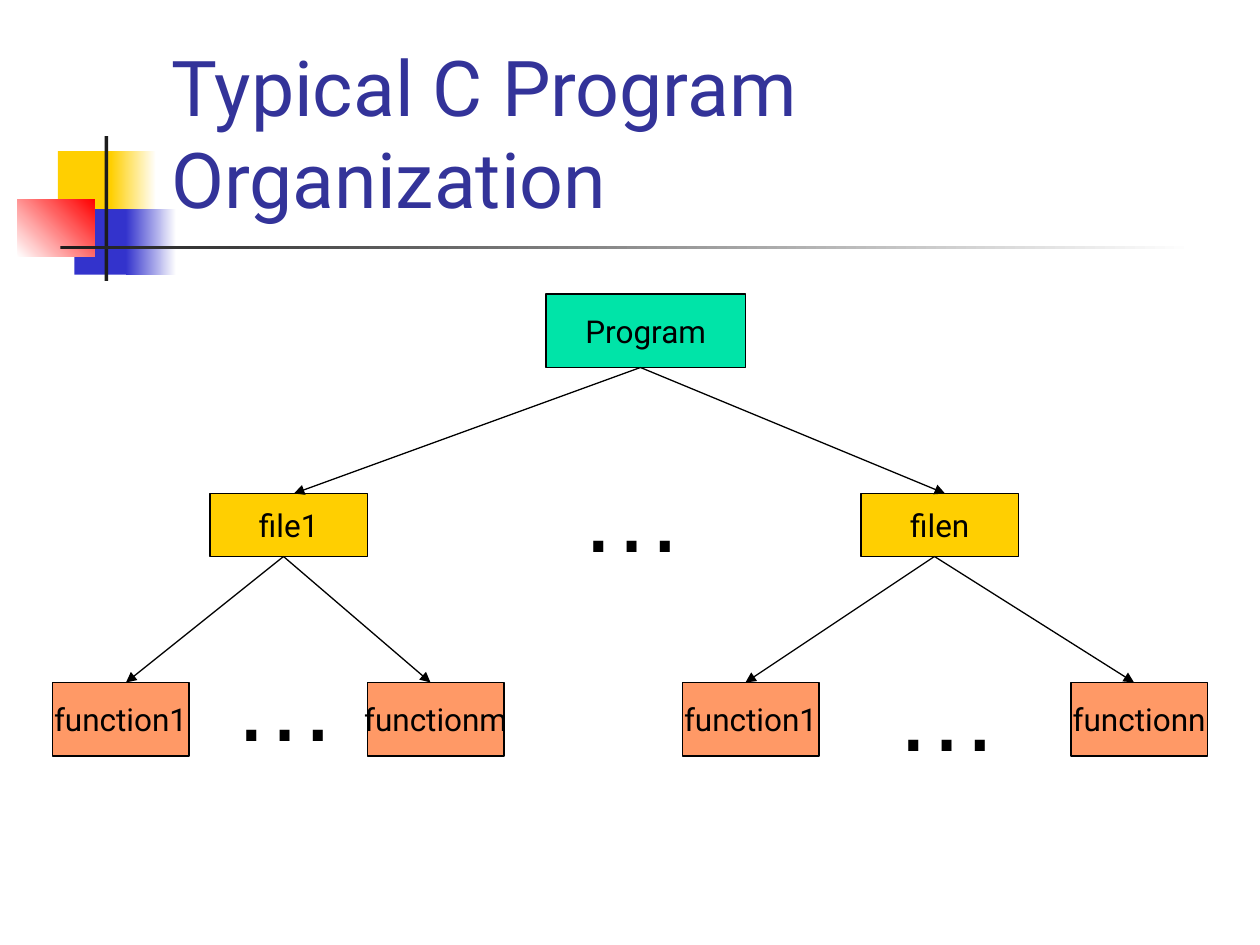
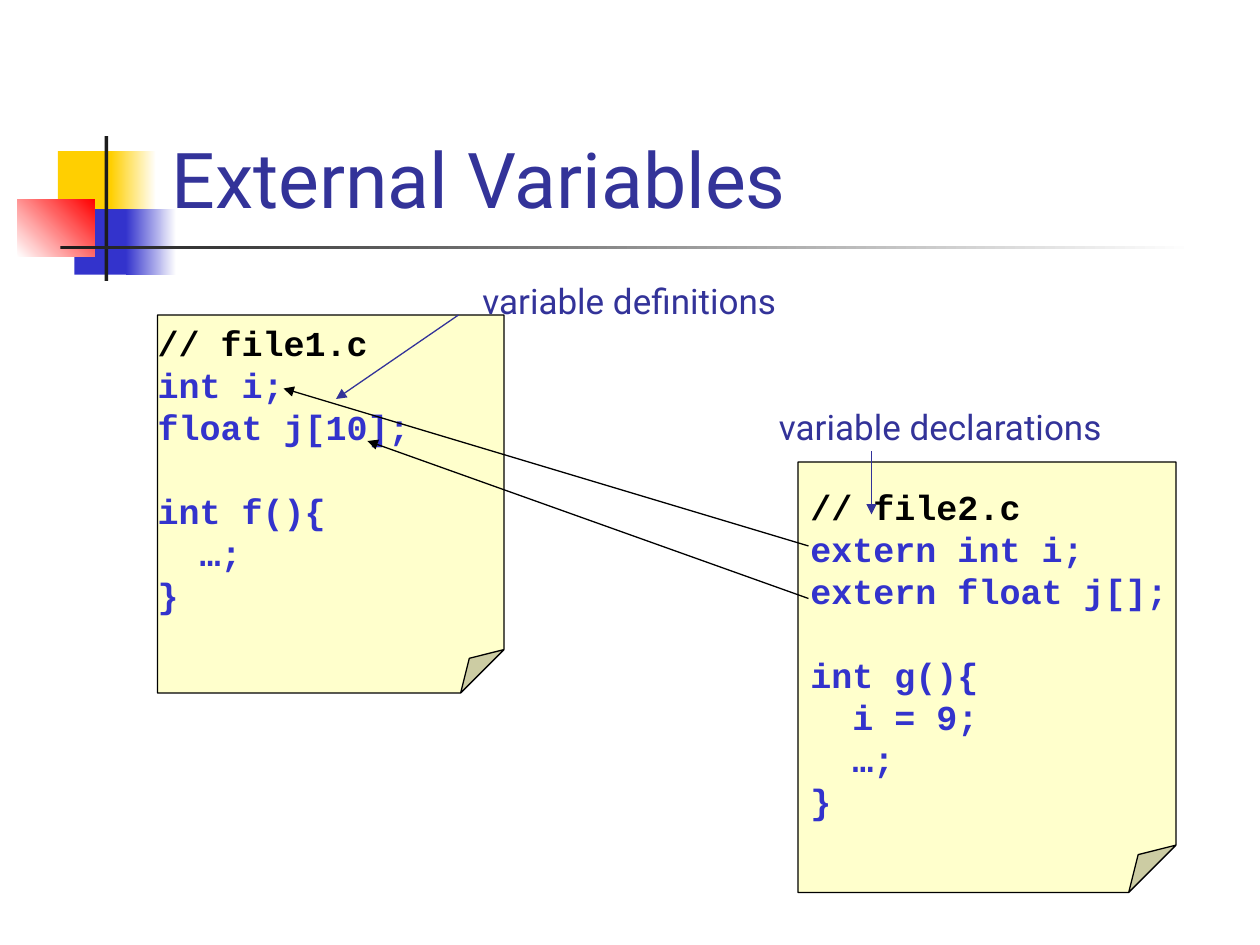
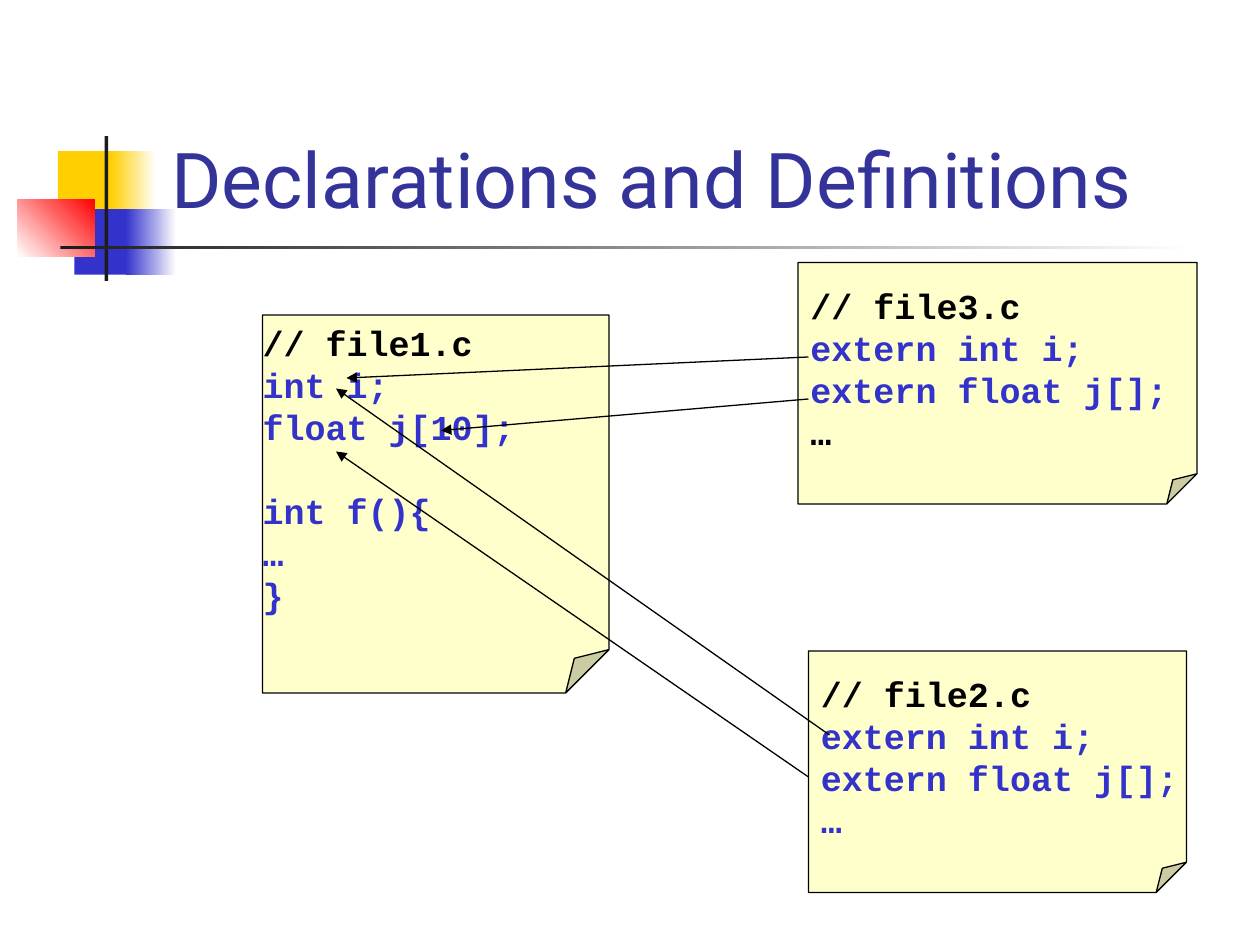
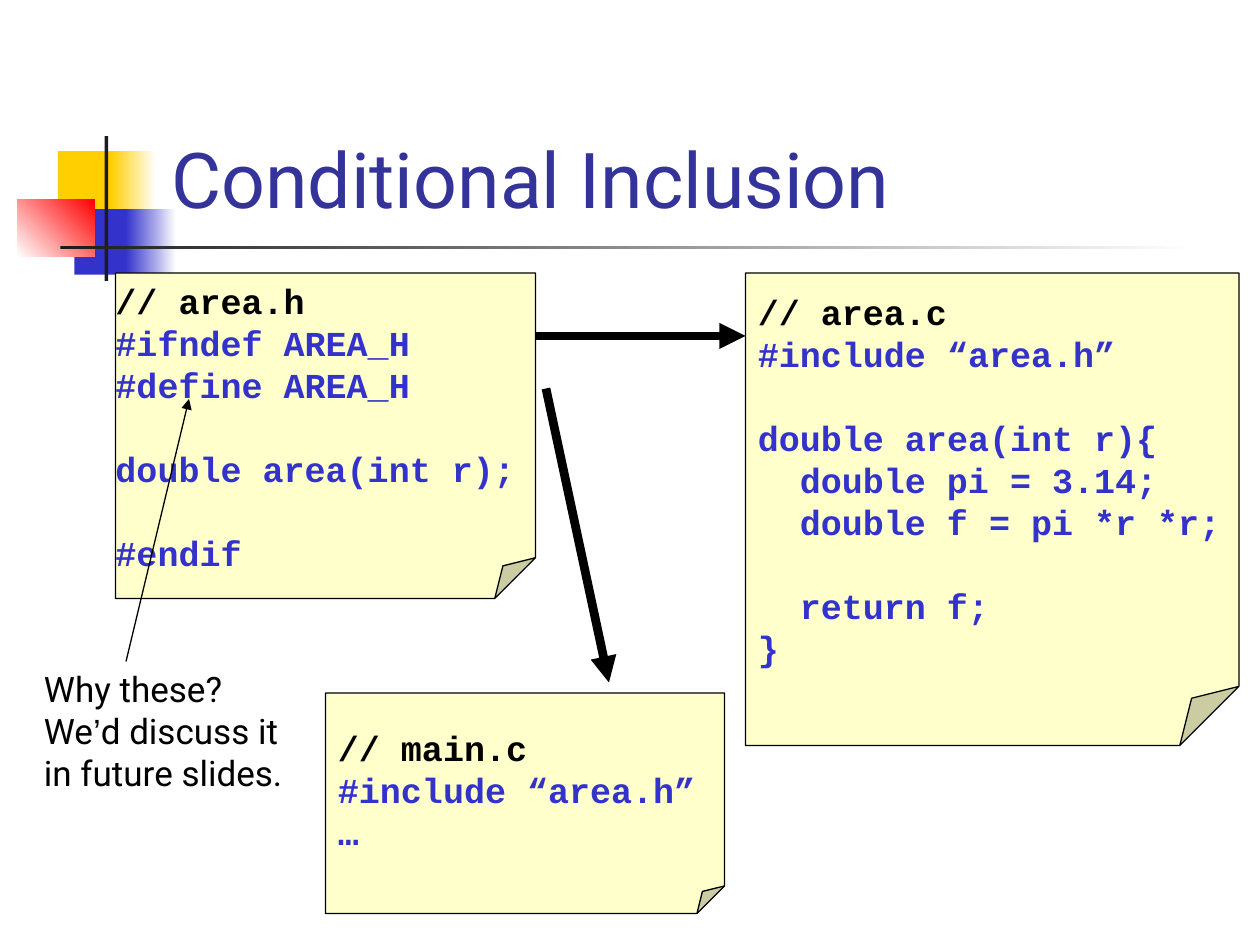
from lxml import etree
from pptx import Presentation
from pptx.dml.color import RGBColor
from pptx.enum import shapes, text
from pptx.oxml.ns import qn
from pptx.util import Pt

COLORS = {
    "black": "000000", "white": "FFFFFF", "ink": "1C1C1C", "title": "333399",
    "blue": "3333CC", "yellow": "FFCF01", "red": "FF0000", "green": "00E4A8",
    "orange": "FF9966", "paper": "FFFFCC",
}
RGB = {name: RGBColor.from_string(value) for name, value in COLORS.items()}
TITLES = ["Typical C Program Organization", "External Variables",
          "Declarations and Definitions", "Conditional Inclusion"]


def write(frame, lines, font="Roboto", size=20, color="black", first_color=None,
          bold=False, align="LEFT", anchor="TOP", wrap=True, left_inset=7.2):
    frame.word_wrap = wrap
    frame.auto_size = text.MSO_AUTO_SIZE.NONE
    frame.vertical_anchor = text.MSO_ANCHOR[anchor]
    frame.margin_left = Pt(left_inset)
    line_height = Pt(size * 1.2)
    paragraph, gap = None, 0
    for line in lines:
        if not line:
            gap += line_height
            continue
        paint = color if paragraph is not None else first_color or color
        paragraph = frame.paragraphs[0] if paragraph is None else frame.add_paragraph()
        paragraph.alignment = text.PP_ALIGN[align]
        paragraph.line_spacing = line_height
        paragraph.space_before = Pt(gap / Pt(1))
        gap = 0
        code = line.lstrip()
        indent = len(line) - len(code)
        if indent:
            properties = paragraph._p.get_or_add_pPr()
            properties.set("marL", str(Pt(indent * size * 0.6)))
            properties.set("indent", "0")
        for index, piece in enumerate(code.partition("’")):
            if piece:
                run = paragraph.add_run()
                run.text = piece
                run.font.name = "Arial" if index == 1 else font
                run.font.size = Pt(size)
                run.font.bold = bold
                run.font.color.rgb = RGB[paint]


def arrow(parent, start, end, color="black", width=0.75):
    line = parent.add_connector(shapes.MSO_CONNECTOR.STRAIGHT, *map(Pt, start + end))
    line.line.color.rgb = RGB[color]
    line.line.width = Pt(width)
    etree.SubElement(line.line._get_or_add_ln(), qn("a:tailEnd"), type="triangle")
    etree.SubElement(line._element.spPr, qn("a:effectLst"))


deck = Presentation()
deck.slide_width, deck.slide_height = Pt(720), Pt(540)
title_only = deck.slide_layouts[5]
slides = [deck.slides.add_slide(title_only) for _ in TITLES]

ornaments = [
    ((33.12, 86.4, 34.56, 37.44), "yellow", None, 0),
    ((63.36, 86.4, 25.92, 37.44), "yellow", "white", 0),
    ((42.48, 119.52, 33.12, 37.44), "blue", None, 0),
    ((72, 119.52, 28.8, 37.44), "blue", "white", 0),
    ((10.08, 113.76, 43.92, 33.12), "white", "red", 45),
    ((59.76, 77.76, 2.16, 82.8), "ink", None, 0),
    ((34.56, 140.4, 648, 2.16), "ink", "white", 0),
]
for position, (bounds, start, end, angle) in enumerate(ornaments, 2):
    ornament = slides[0].shapes.add_shape(shapes.MSO_SHAPE.RECTANGLE, *map(Pt, bounds))
    ornament.shadow.inherit = False
    ornament.line.fill.background()
    if end:
        ornament.fill.gradient()
        ornament.fill.gradient_angle = angle
        for stop, color in zip(ornament.fill.gradient_stops, (start, end)):
            stop.color.rgb = RGB[color]
    else:
        ornament.fill.solid()
        ornament.fill.fore_color.rgb = RGB[start]
    title_only.shapes.element.insert(position, ornament._element)

for slide, heading in zip(slides, TITLES):
    title = slide.shapes.title
    title.left, title.top, title.width, title.height = map(Pt, (90.72, 16.56, 613.44, 115.2))
    write(title.text_frame, [heading], size=44, color="title", anchor="BOTTOM")

organization = slides[0].shapes
levels = [
    (168, 114, 42, "green", [("Program", 312)]),
    (282, 90, 36, "yellow", [("file1", 120), ("filen", 492)]),
    (390, 78, 42, "orange", [("function1", 30), ("functionm", 210),
                             ("function1", 390), ("functionn", 612)]),
]
for top, width, height, color, members in levels:
    for name, left in members:
        box = organization.add_shape(shapes.MSO_SHAPE.RECTANGLE,
                                     *map(Pt, (left, top, width, height)))
        box.shadow.inherit = False
        box.fill.solid()
        box.fill.fore_color.rgb = RGB[color]
        box.line.color.rgb = RGB["black"]
        box.line.width = Pt(0.75)
        write(box.text_frame, [name], size=18, align="CENTER", anchor="MIDDLE", wrap=False)
for left, top in [(504, 366), (126, 360), (324, 252)]:
    ellipsis = organization.add_textbox(*map(Pt, (left, top, 102, 79)))
    write(ellipsis.text_frame, ["…"], font="Arial", size=60)
for parent, children in [((366, 210), [(168, 282), (540, 282)]),
                         ((162, 318), [(72, 390), (246, 390)]),
                         ((534, 318), [(426, 390), (648, 390)])]:
    for child in children:
        arrow(organization, parent, child)

externs = ["extern int i;", "extern float j[];"]
definitions = ["// file1.c", "int i;", "float j[10];", "", "int f(){"]
listings = [
    (1, (90, 180, 198, 216), "TOP", definitions + ["  …;", "}"]),
    (1, (456, 264, 216, 246), "MIDDLE",
     ["// file2.c", *externs, "", "int g(){", "  i = 9;", "  …;", "}"]),
    (2, (150, 180, 198, 216), "TOP", definitions + ["…", "}"]),
    (2, (462, 372, 216, 138), "MIDDLE", ["// file2.c", *externs, "…"]),
    (2, (456, 150, 228, 138), "MIDDLE", ["// file3.c", *externs, "…"]),
    (3, (66, 156, 240, 186), "TOP",
     ["// area.h", "#ifndef AREA_H", "#define AREA_H", "",
      "double area(int r);", "", "#endif"]),
    (3, (186, 396, 228, 126), "MIDDLE", ["// main.c", "#include “area.h”", "…"]),
    (3, (426, 156, 282, 270), "MIDDLE",
     ["// area.c", "#include “area.h”", "", "double area(int r){",
      "  double pi = 3.14;", "  double f = pi *r *r;", "", "  return f;", "}"]),
]
for number, bounds, anchor, code in listings:
    page = slides[number].shapes.add_shape(shapes.MSO_SHAPE.FOLDED_CORNER, *map(Pt, bounds))
    fold = page._element.spPr.find(qn("a:prstGeom")).get_or_add_avLst()
    for guide in list(fold):
        fold.remove(guide)
    etree.SubElement(fold, qn("a:gd"), name="adj", fmla="val 12500")
    page.shadow.inherit = False
    page.fill.solid()
    page.fill.fore_color.rgb = RGB["paper"]
    page.line.color.rgb = RGB["black"]
    page.line.width = Pt(0.75)
    write(page.text_frame, code, font="Courier New", color="blue", first_color="black",
          bold=True, anchor=anchor, wrap=False, left_inset=0 if anchor == "TOP" else 7.2)
    if code[0] == "// file3.c":
        page.text_frame.paragraphs[-1].runs[0].font.color.rgb = RGB["black"]

references = [
    (1, (462, 312), (162, 222), 0.75),
    (1, (462, 342), (210, 252), 0.75),
    (2, (474, 420), (192, 222), 0.75),
    (2, (462, 444), (192, 258), 0.75),
    (2, (462, 204), (198, 216), 0.75),
    (2, (462, 228), (252, 246), 0.75),
    (3, (312, 222), (348, 390), 5),
    (3, (306, 192), (426, 192), 5),
    (3, (72, 378), (108, 228), 0.75),
]
for number, start, end, width in references:
    arrow(slides[number].shapes, start, end, width=width)

callouts = [
    ("variable definitions", (268.56, 156, 242, 31.5), (262, 180), (192, 228)),
    ("variable declarations", (438, 228, 228, 31), (498, 258), (498, 294)),
]
for label, bounds, start, end in callouts:
    callout = slides[1].shapes.add_group_shape().shapes
    write(callout.add_textbox(*map(Pt, bounds)).text_frame, [label], color="title")
    arrow(callout, start, end, color="title")

question = slides[3].shapes.add_textbox(*map(Pt, (18, 378, 162, 79)))
write(question.text_frame, ["Why these? We’d discuss it in future slides."])

deck.save("out.pptx")
